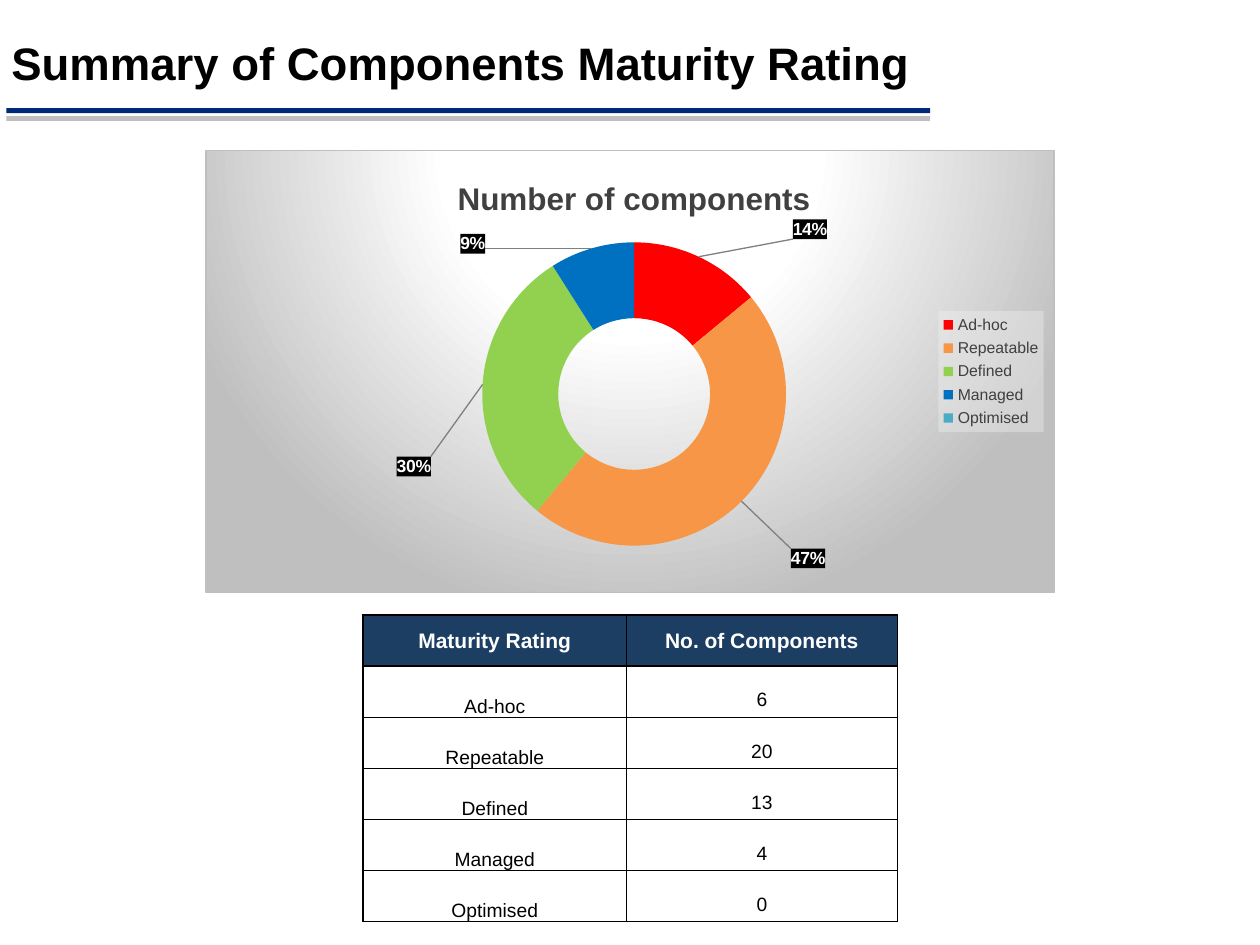
import pptx
import pptx.chart.data
import pptx.dml.color
import pptx.enum.chart
import pptx.enum.shapes
import pptx.enum.text
import pptx.oxml
import pptx.oxml.ns
import pptx.util

Cm = pptx.util.Cm
Pt = pptx.util.Pt
ALIGN = pptx.enum.text.PP_ALIGN
ANCHOR = pptx.enum.text.MSO_ANCHOR
NS = pptx.oxml.ns.nsdecls("a", "c")

COLORS = {
    "black": "000000", "white": "FFFFFF", "navy": "00297A", "silver": "BFBFBF",
    "header": "1C3E62", "text": "404040", "leader": "7F7F7F", "legend": "F2F2F2",
}
RATINGS = [
    ("Ad-hoc", 6, 14, "FF0000", (0.15, -0.14)),
    ("Repeatable", 20, 47, "F79646", (0.11, 0.19)),
    ("Defined", 13, 30, "92D050", (-0.126, 0.18)),
    ("Managed", 4, 9, "0070C0", (-0.153, -0.093)),
    ("Optimised", 0, 0, "4BACC6", None),
]


def rgb(value):
    return pptx.dml.color.RGBColor.from_string(value)


def set_font(font, color, **values):
    for name, value in {"name": "Arial", "bold": False, **values}.items():
        setattr(font, name, value)
    font.color.rgb = rgb(COLORS[color])


def xml(text):
    return pptx.oxml.parse_xml(text.replace(">", f" {NS}>", 1))


def add_bar(s, top, color):
    sp = s.shapes.add_shape(pptx.enum.shapes.MSO_SHAPE.RECTANGLE,
                            Cm(0.13), Cm(top), Cm(18.62), Cm(0.1))
    sp.shadow.inherit = False
    sp.fill.solid()
    sp.fill.fore_color.rgb = rgb(COLORS[color])
    sp.line.fill.background()


def add_title(s, text):
    tf = s.shapes.add_textbox(Cm(0.23), Cm(0.84), Cm(20.96), Cm(1.27)).text_frame
    values = {"word_wrap": True, "margin_left": 0, "margin_top": 0,
              "margin_right": 0, "margin_bottom": 0}
    for name, value in values.items():
        setattr(tf, name, value)
    p = tf.paragraphs[0]
    p.line_spacing = 0.9
    r = p.add_run()
    r.text = text
    set_font(r.font, "black", size=Pt(26), bold=True)


def manual_layout(target="", **values):
    inner = f'<c:layoutTarget val="{target}"/>' if target else ""
    if target or "edge" in values:
        inner += '<c:xMode val="edge"/><c:yMode val="edge"/>'
    inner += "".join(f'<c:{k} val="{v}"/>' for k, v in values.items() if k != "edge")
    return f"<c:layout><c:manualLayout>{inner}</c:manualLayout></c:layout>"


def solid_sp_pr(color, alpha):
    return (f'<c:spPr><a:solidFill><a:srgbClr val="{COLORS[color]}">'
            f'<a:alpha val="{alpha}000"/></a:srgbClr></a:solidFill></c:spPr>')


def label_xml():
    flags = "".join(f'<c:show{name} val="{int(name == "Percent")}"/>' for name in
                    ("LegendKey", "Val", "CatName", "SerName", "Percent", "BubbleSize"))
    style = (solid_sp_pr("black", 75)
             + '<c:txPr><a:bodyPr/><a:p><a:pPr><a:defRPr sz="1000" b="1"><a:solidFill>'
             f'<a:srgbClr val="{COLORS["white"]}"/></a:solidFill><a:latin typeface="Arial"/>'
             '</a:defRPr></a:pPr><a:endParaRPr lang="en-GB"/></a:p></c:txPr>' + flags)
    points = ""
    for i, (*_, offset) in enumerate(RATINGS):
        body = (manual_layout(x=offset[0], y=offset[1]) + style if offset
                else '<c:delete val="1"/>')
        points += f'<c:dLbl><c:idx val="{i}"/>{body}</c:dLbl>'
    leader = ('<c:showLeaderLines val="1"/><c:leaderLines><c:spPr><a:ln w="9525"><a:solidFill>'
              f'<a:srgbClr val="{COLORS["leader"]}"/></a:solidFill></a:ln></c:spPr></c:leaderLines>')
    return f"<c:dLbls>{points}{style}{leader}</c:dLbls>"


def chart_background():
    stops = "".join(f'<a:gs pos="{pos}000"><a:srgbClr val="{COLORS[color]}"/></a:gs>'
                    for pos, color in ((0, "white"), (39, "white"), (100, "silver")))
    return (f'<c:spPr><a:gradFill><a:gsLst>{stops}</a:gsLst><a:path path="circle">'
            '<a:fillToRect l="50000" t="-80000" r="50000" b="180000"/></a:path></a:gradFill>'
            f'<a:ln w="9525"><a:solidFill><a:srgbClr val="{COLORS["silver"]}"/>'
            '</a:solidFill></a:ln></c:spPr>')


def add_doughnut(s):
    data = pptx.chart.data.CategoryChartData()
    data.categories = [row[0] for row in RATINGS]
    data.add_series("Series 1", [row[2] for row in RATINGS])
    chart = s.shapes.add_chart(pptx.enum.chart.XL_CHART_TYPE.DOUGHNUT, Cm(4.14), Cm(3.02),
                               Cm(17.12), Cm(8.94), data).chart
    set_font(chart.font, "black", size=Pt(10))
    chart.has_title = True
    p = chart.chart_title.text_frame.paragraphs[0]
    r = p.add_run()
    r.text = "Number of components"
    set_font(r.font, "text", size=Pt(18), bold=True)
    chart.has_legend = True
    chart.legend.position = pptx.enum.chart.XL_LEGEND_POSITION.RIGHT
    chart.legend.include_in_layout = False
    set_font(chart.legend.font, "text", size=Pt(9))

    plot = chart.plots[0]
    plot.vary_by_categories = True
    for i, row in enumerate(RATINGS):
        fill = plot.series[0].points[i].format.fill
        fill.solid()
        fill.fore_color.rgb = rgb(row[3])

    root = chart.element
    for old in root.xpath(".//c:dLbls | .//c:plotArea/c:layout | .//c:title/c:layout"):
        old.getparent().remove(old)
    root.xpath(".//c:ser/c:cat")[0].addprevious(xml(label_xml()))
    plot_layout = manual_layout("inner", x=0.306, y=0.208, w=0.398, h=0.686)
    root.xpath(".//c:plotArea")[0].insert(0, xml(plot_layout))
    root.xpath(".//c:title/c:tx")[0].addnext(xml(manual_layout(edge=True, x=0.29, y=0.05)))
    root.xpath(".//c:legend/c:overlay")[0].addnext(xml(solid_sp_pr("legend", 39)))
    root.xpath("./c:chart")[0].addnext(xml(chart_background()))
    root.xpath(".//c:holeSize")[0].set("val", "50")


def fill_cell(cell, text, font, anchor, margins=()):
    for side in "LRTB":
        cell._tc.get_or_add_tcPr().append(xml(
            f'<a:ln{side} w="12700"><a:solidFill><a:srgbClr val="{COLORS["black"]}"/>'
            f"</a:solidFill></a:ln{side}>"))
    cell.fill.background()
    cell.vertical_anchor = anchor
    for name, value in margins:
        setattr(cell, name, value)
    p = cell.text_frame.paragraphs[0]
    p.alignment = ALIGN.CENTER
    r = p.add_run()
    r.text = text
    set_font(r.font, **font)


def add_ratings_table(s):
    rows = len(RATINGS) + 1
    table = s.shapes.add_table(rows, 2, Cm(7.32), Cm(12.4), Cm(10.77), Cm(1.03 * rows)).table
    table.horz_banding = False
    for column, width in zip(table.columns, (5.31, 5.46)):
        column.width = Cm(width)
    header = {"color": "white", "size": Pt(12), "bold": True}
    body = {"color": "black", "size": Pt(11)}
    tight = [("margin_left", Cm(0.03)), ("margin_right", Cm(0.03)),
             ("margin_top", Cm(0.03)), ("margin_bottom", 0)]
    for col, text in enumerate(("Maturity Rating", "No. of Components")):
        cell = table.cell(0, col)
        fill_cell(cell, text, header, ANCHOR.MIDDLE)
        cell.fill.solid()
        cell.fill.fore_color.rgb = rgb(COLORS["header"])
    for i, (name, count, *_) in enumerate(RATINGS, 1):
        fill_cell(table.cell(i, 0), name, body, ANCHOR.BOTTOM, tight)
        fill_cell(table.cell(i, 1), str(count), body, ANCHOR.BOTTOM)


def main():
    prs = pptx.Presentation()
    prs.slide_width, prs.slide_height = Cm(25.4), Cm(19.05)
    s = prs.slides.add_slide(prs.slide_layouts[6])
    add_bar(s, 2.34, "silver")
    add_bar(s, 2.18, "navy")
    add_title(s, "Summary of Components Maturity Rating")
    add_ratings_table(s)
    add_doughnut(s)
    prs.save("out.pptx")


if __name__ == "__main__":
    main()
